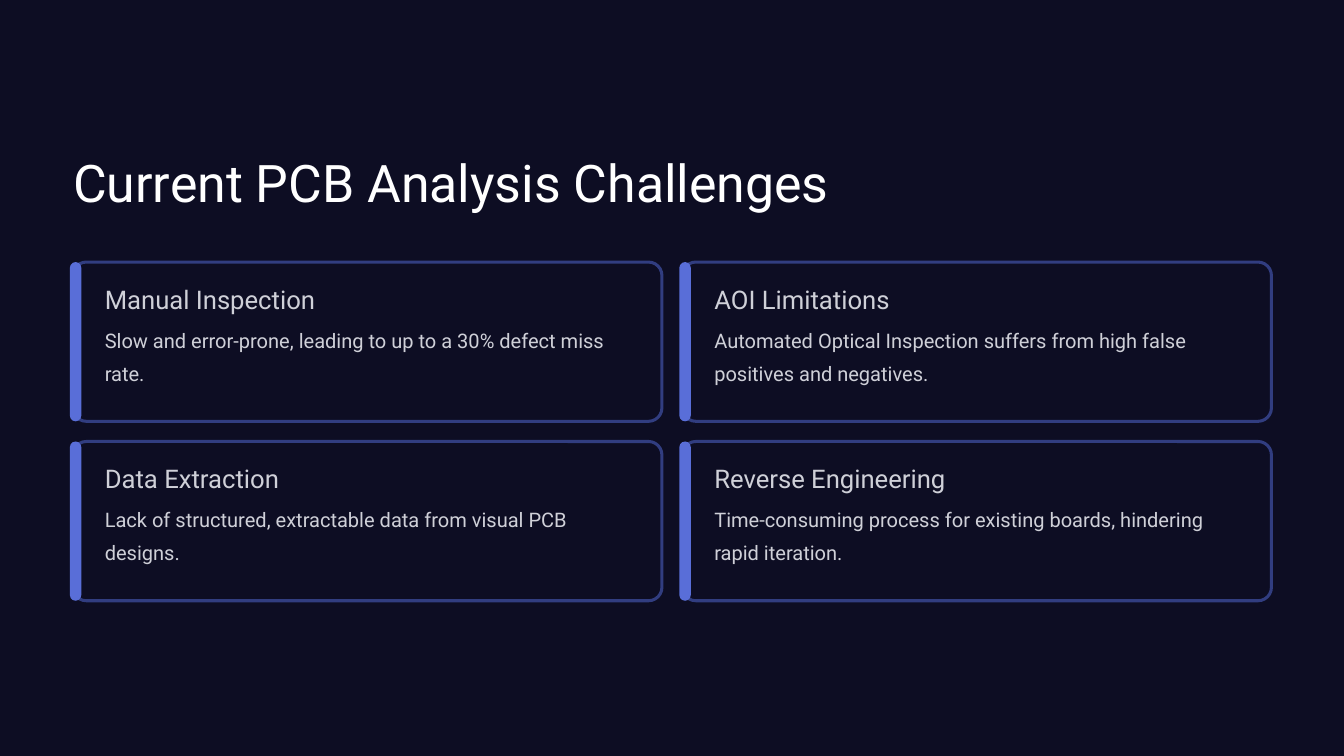
import dataclasses

import pptx
import pptx.dml.color
import pptx.enum.shapes
import pptx.enum.text
import pptx.util


@dataclasses.dataclass(frozen=True)
class Theme:
    font: str = "Roboto"
    background: str = "0D0D23"
    title: str = "FFFFFF"
    text: str = "CFD0D8"
    outline: str = "313D80"
    accent: str = "596ED8"
    title_size: float = 55.5
    heading_size: float = 27.5
    body_size: float = 21.5
    outline_width: float = 3.25


@dataclasses.dataclass(frozen=True)
class Box:
    """Left, top, width and height in grid columns and rows."""
    x: float
    y: float
    w: float
    h: float

    def emu(self):
        return [round(v * UNIT) for v in (self.x, self.y, self.w, self.h)]

    def inner(self, dx, dy, w, h):
        return Box(self.x + dx, self.y + dy, w, h)


THEME = Theme()
SLIDE_W, SLIDE_H = pptx.util.Inches(20), pptx.util.Inches(11.25)
COLUMNS = 200
UNIT = SLIDE_W / COLUMNS  # square grid cells, 200 columns by 112.5 rows

TITLE_BOX = Box(10.9, 22.5, 160, 10)
CARDS_BOX = Box(10.4, 39, 178.8, 50.4)
GAP_X, GAP_Y = 2.6, 3

TITLE = "Current PCB Analysis Challenges"
CARDS = [
    ("Manual Inspection",
     "Slow and error-prone, leading to up to a 30% defect miss rate."),
    ("AOI Limitations",
     "Automated Optical Inspection suffers from high false positives and negatives."),
    ("Data Extraction",
     "Lack of structured, extractable data from visual PCB designs."),
    ("Reverse Engineering",
     "Time-consuming process for existing boards, hindering rapid iteration."),
]


def rgb(value):
    return pptx.dml.color.RGBColor.from_string(value)


def add_text_frame(s, box):
    tf = s.shapes.add_textbox(*box.emu()).text_frame
    tf.word_wrap = True
    tf.vertical_anchor = pptx.enum.text.MSO_ANCHOR.TOP
    tf.margin_left = tf.margin_top = tf.margin_right = tf.margin_bottom = 0
    return tf


def write(tf, text, *, size, color, before=0, spacing=None):
    """Fill the first empty paragraph, or add one, with formatted text."""
    p = tf.paragraphs[0] if not tf.text else tf.add_paragraph()
    p.space_before = pptx.util.Pt(before)
    if spacing:
        p.line_spacing = spacing
    r = p.add_run()
    r.text = text
    r.font.name = THEME.font
    r.font.size = pptx.util.Pt(size)
    r.font.color.rgb = rgb(color)


def add_rounded(s, box, radius, fill=None, line=None):
    sp = s.shapes.add_shape(
        pptx.enum.shapes.MSO_SHAPE.ROUNDED_RECTANGLE, *box.emu())
    sp.shadow.inherit = False
    sp.adjustments[0] = radius / min(box.w, box.h)
    if fill:
        sp.fill.solid()
        sp.fill.fore_color.rgb = rgb(fill)
    else:
        sp.fill.background()
    if line:
        sp.line.color.rgb = rgb(line)
        sp.line.width = pptx.util.Pt(THEME.outline_width)
    else:
        sp.line.fill.background()


def add_title(s, box):
    write(add_text_frame(s, box), TITLE, size=THEME.title_size,
          color=THEME.title, before=1.1)


def add_card(s, box, heading, body):
    # Outline, then the accent bar over its left edge
    add_rounded(s, box.inner(0.45, 0, box.w - 0.45, box.h), 2,
                line=THEME.outline)
    add_rounded(s, box.inner(0, 0, 1.7, box.h), 0.85, fill=THEME.accent)

    # Heading and description
    tf = add_text_frame(s, box.inner(5.2, 3.2, 75, 18))
    write(tf, heading, size=THEME.heading_size, color=THEME.text)
    write(tf, body, size=THEME.body_size, color=THEME.text,
          before=5.6, spacing=1.37)


def add_card_grid(s, box, columns=2):
    rows = len(CARDS) // columns
    w = (box.w - GAP_X * (columns - 1)) / columns
    h = (box.h - GAP_Y * (rows - 1)) / rows
    for i, (heading, body) in enumerate(CARDS):
        row, column = divmod(i, columns)
        cell = box.inner(column * (w + GAP_X), row * (h + GAP_Y), w, h)
        add_card(s, cell, heading, body)


def main():
    prs = pptx.Presentation()
    prs.slide_width, prs.slide_height = SLIDE_W, SLIDE_H
    s = prs.slides.add_slide(prs.slide_layouts[6])
    s.background.fill.solid()
    s.background.fill.fore_color.rgb = rgb(THEME.background)
    add_title(s, TITLE_BOX)
    add_card_grid(s, CARDS_BOX)
    prs.save("out.pptx")


if __name__ == "__main__":
    main()
